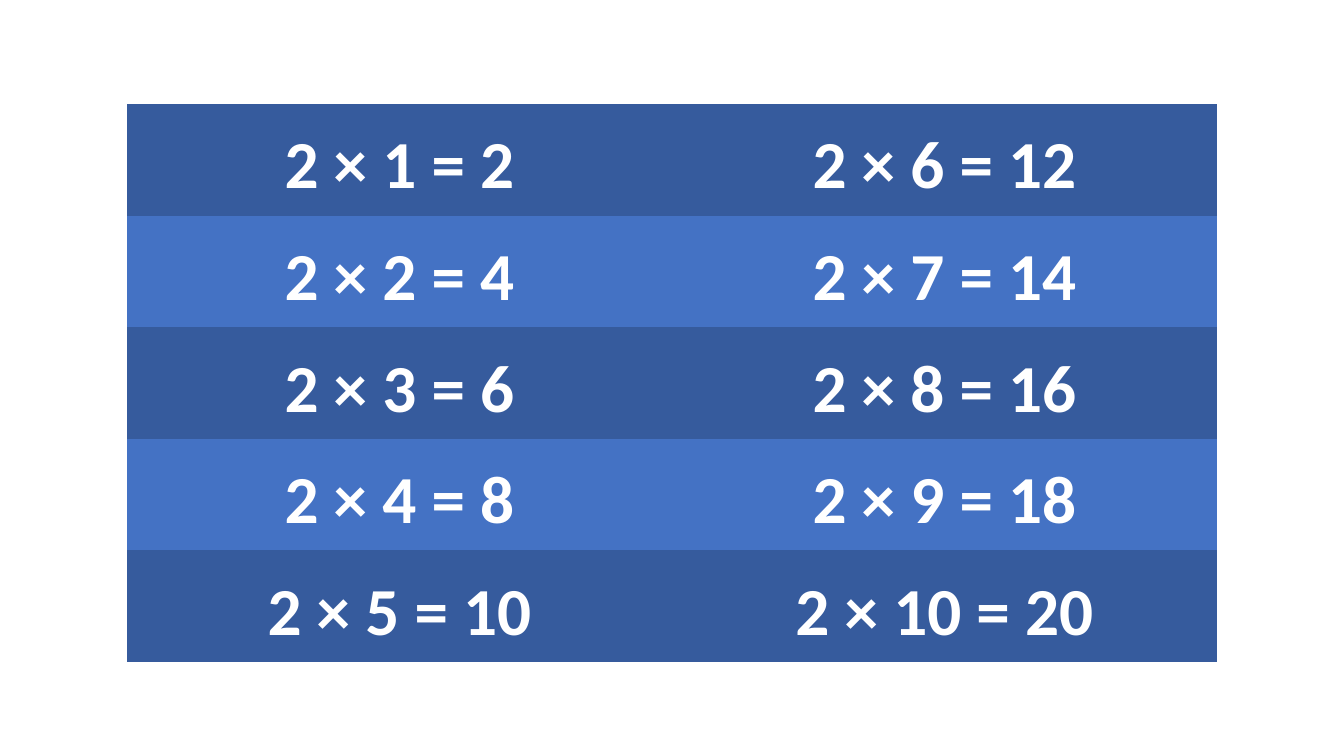
from pptx import Presentation
from pptx.dml.color import RGBColor
from pptx.enum.text import MSO_ANCHOR, PP_ALIGN
from pptx.util import Emu, Pt

BASE = 2
ROWS, COLS = 5, 2
BANDS = ("365B9D", "4472C4")
INK = "FFFFFF"
LEFT, TOP, WIDE, HIGH = 127, 104, 1090, 558
PAD = 7
PLAIN = "{2D5ABB26-0587-4C30-8999-92F81FD0307C}"


def px(n):
    return Emu(round(n * 914400 / 100.8))


def color(code):
    return RGBColor.from_string(code)


def write(cell, text, band):
    cell.fill.solid()
    cell.fill.fore_color.rgb = color(band)
    cell.vertical_anchor = MSO_ANCHOR.MIDDLE
    cell.margin_left = cell.margin_right = px(PAD)
    cell.margin_top = cell.margin_bottom = 0
    cell.text_frame.text = text
    para = cell.text_frame.paragraphs[0]
    para.alignment = PP_ALIGN.CENTER
    para.line_spacing = 1.15
    para.space_before, para.space_after = Pt(42), Pt(36)
    font = para.runs[0].font
    font.name, font.size, font.bold = "Calibri", Pt(48), True
    font.color.rgb = color(INK)


deck = Presentation()
deck.slide_width, deck.slide_height = px(1344), px(756)
slide = deck.slides.add_slide(deck.slide_layouts[6])

frame = slide.shapes.add_table(ROWS, COLS, px(LEFT), px(TOP), px(WIDE), px(HIGH))
table = frame.table
table.first_row = table.horz_banding = False
table._tbl.tblPr[0].text = PLAIN

for row in range(ROWS):
    table.rows[row].height = px(HIGH / ROWS)
    for col in range(COLS):
        times = col * ROWS + row + 1
        fact = f"{BASE} × {times} = {BASE * times}"
        write(table.cell(row, col), fact, BANDS[row % 2])

deck.save("out.pptx")
